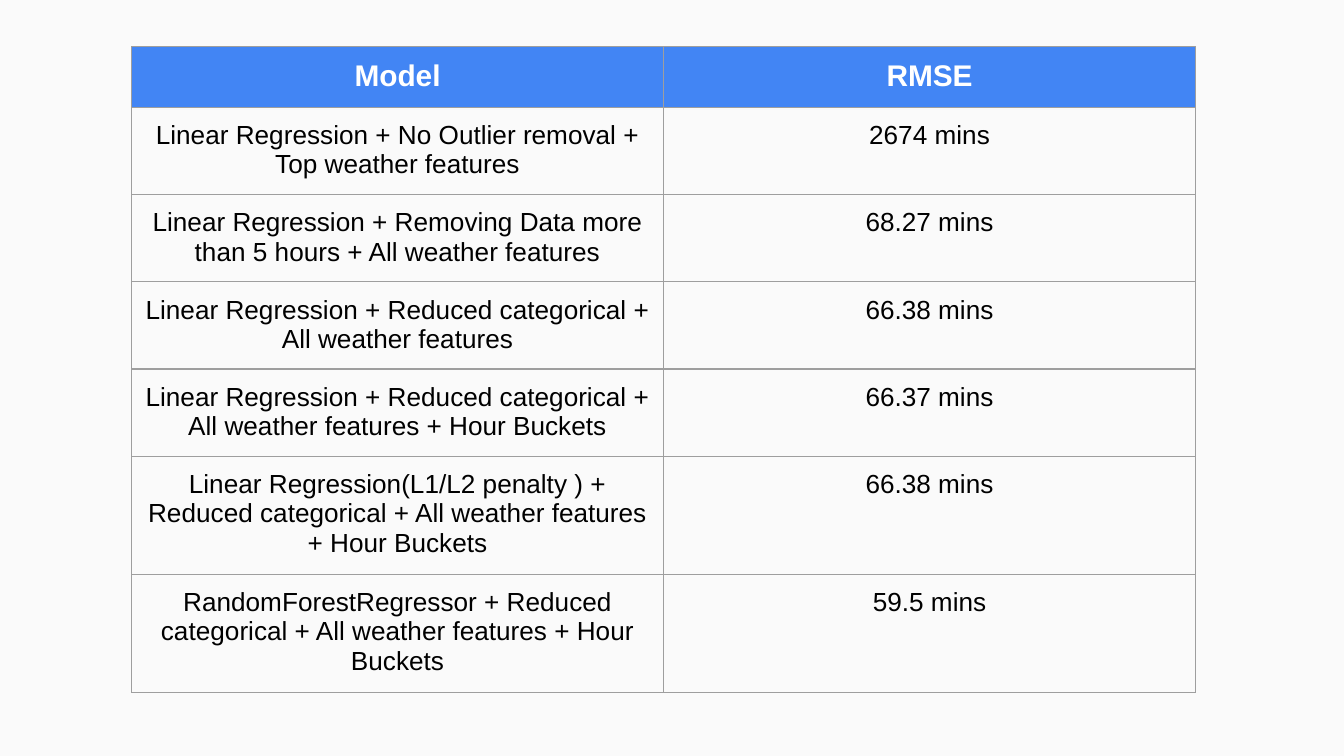
from dataclasses import dataclass

from lxml.etree import SubElement
from pptx import Presentation
from pptx.dml.color import RGBColor as Color
from pptx.enum.text import PP_ALIGN as Align
from pptx.oxml.ns import qn
from pptx.util import Pt

# Content
HEADINGS = ("Model", "RMSE")
RESULTS = [
    ("Linear Regression + No Outlier removal + Top weather features", "2674 mins"),
    ("Linear Regression + Removing Data more than 5 hours + All weather features", "68.27 mins"),
    ("Linear Regression + Reduced categorical + All weather features", "66.38 mins"),
    ("Linear Regression + Reduced categorical + All weather features + Hour Buckets", "66.37 mins"),
    ("Linear Regression(L1/L2 penalty ) + Reduced categorical + All weather features"
     " + Hour Buckets", "66.38 mins"),
    ("RandomForestRegressor + Reduced categorical + All weather features + Hour Buckets",
     "59.5 mins"),
]


@dataclass(frozen=True)
class Theme:
    font: str = "Arial"
    heading_size: int = 16
    body_size: int = 14
    background: str = "FAFAFA"
    heading_fill: str = "4285F4"
    heading_text: str = "FFFFFF"
    body_text: str = "000000"
    border: str = "9E9E9E"
    border_width: float = 0.75


THEME = Theme()

# Layout, in points
PAGE_WIDTH, PAGE_HEIGHT = 720, 405
TABLE_LEFT, TABLE_TOP = 70.5, 25
COLUMN_WIDTH = 285
HEADING_HEIGHT = 32.5
TWO_LINES, THREE_LINES = 46.75, 63.25
ROW_HEIGHTS = [HEADING_HEIGHT] + [TWO_LINES] * 4 + [THREE_LINES] * 2
CELL_MARGIN = 7.2


def draw_borders(cell):
    properties = cell._tc.get_or_add_tcPr()
    for side in ("lnL", "lnR", "lnT", "lnB"):
        line = SubElement(properties, qn(f"a:{side}"), w=str(Pt(THEME.border_width)))
        fill = SubElement(line, qn("a:solidFill"))
        SubElement(fill, qn("a:srgbClr"), val=THEME.border)


def fill_cell(cell, text, is_heading):
    cell.margin_left = cell.margin_right = Pt(CELL_MARGIN)
    cell.margin_top = cell.margin_bottom = Pt(CELL_MARGIN)
    draw_borders(cell)
    if is_heading:
        cell.fill.solid()
        cell.fill.fore_color.rgb = Color.from_string(THEME.heading_fill)
    else:
        cell.fill.background()

    cell.text_frame.text = text
    para = cell.text_frame.paragraphs[0]
    para.alignment = Align.CENTER
    font = para.runs[0].font
    font.name = THEME.font
    font.bold = is_heading
    font.size = Pt(THEME.heading_size if is_heading else THEME.body_size)
    font.color.rgb = Color.from_string(THEME.heading_text if is_heading else THEME.body_text)


def add_results_table(page):
    rows = [HEADINGS] + RESULTS
    table = page.shapes.add_table(
        len(rows), len(HEADINGS), Pt(TABLE_LEFT), Pt(TABLE_TOP),
        Pt(COLUMN_WIDTH * len(HEADINGS)), Pt(sum(ROW_HEIGHTS))).table
    table.horz_banding = False
    for column in table.columns:
        column.width = Pt(COLUMN_WIDTH)
    for row_index, (texts, height) in enumerate(zip(rows, ROW_HEIGHTS)):
        table.rows[row_index].height = Pt(height)
        for column_index, text in enumerate(texts):
            fill_cell(table.cell(row_index, column_index), text, row_index == 0)


def main():
    deck = Presentation()
    deck.slide_width, deck.slide_height = Pt(PAGE_WIDTH), Pt(PAGE_HEIGHT)
    page = deck.slides.add_slide(deck.slide_layouts[6])  # blank layout
    page.background.fill.solid()
    page.background.fill.fore_color.rgb = Color.from_string(THEME.background)
    add_results_table(page)
    deck.save("out.pptx")


if __name__ == "__main__":
    main()
